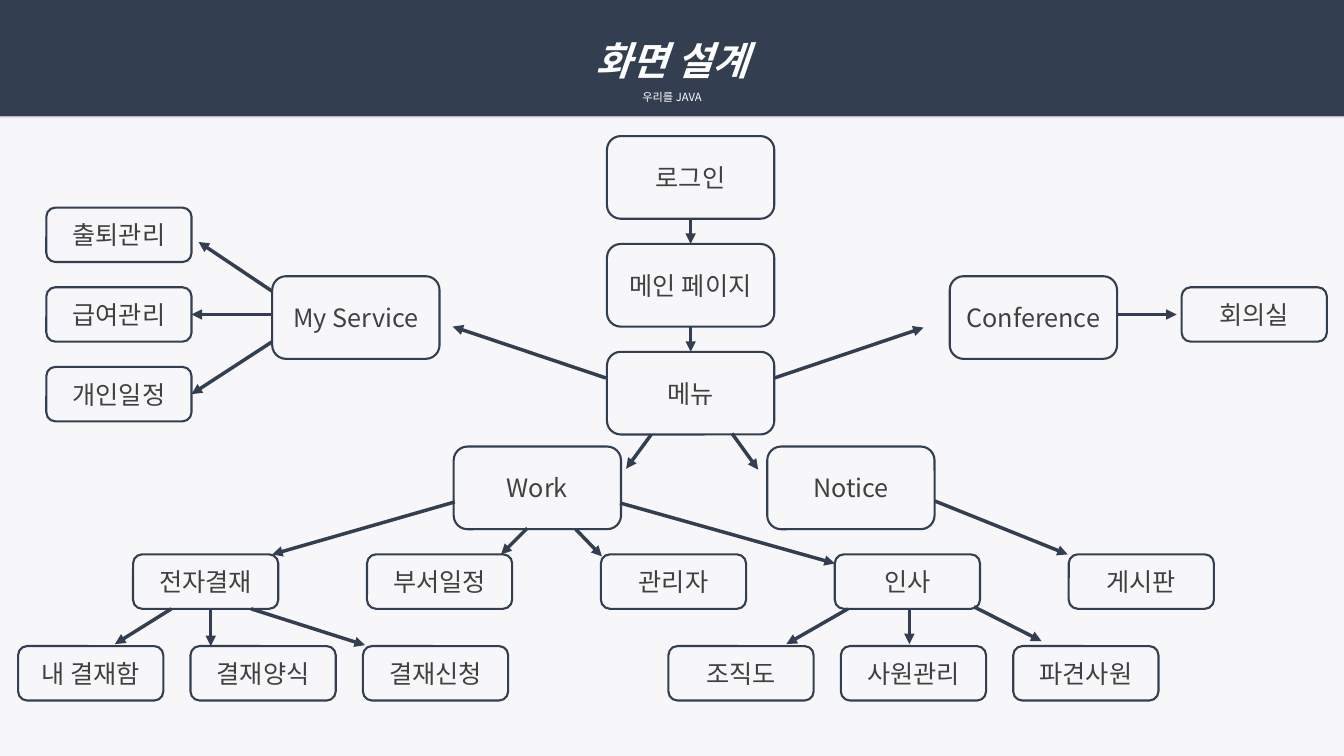
from dataclasses import dataclass
from typing import NamedTuple

from lxml.etree import SubElement
from pptx import Presentation
from pptx.dml.color import RGBColor
from pptx.enum.shapes import MSO_CONNECTOR as Connector, MSO_SHAPE as Preset
from pptx.enum.text import MSO_ANCHOR as Anchor, PP_ALIGN as Align
from pptx.oxml.ns import qn
from pptx.shapes.autoshape import Shape
from pptx.slide import Slide
from pptx.text.text import TextFrame
from pptx.util import Pt

PX = 9144
SLIDE_W, SLIDE_H = 1333, 750
HEADER_H = 115
TOP, LEFT, BOTTOM, RIGHT = range(4)


@dataclass(frozen=True)
class Theme:
    font: str = "Noto Sans CJK KR"
    background: str = "F7F7F9"
    navy: str = "333F50"
    ink: str = "404040"
    white: str = "FFFFFF"
    shade: str = "BBB3CB"
    title_size: int = 28
    subtitle_size: int = 8
    box_size: int = 18
    outline: float = 1.5
    arrow: float = 2.5


class Size(NamedTuple):
    width: int
    height: int


class Box(NamedTuple):
    label: str
    x: int
    y: int
    size: Size


class Point(NamedTuple):
    x: int
    y: int


class Dock(NamedTuple):
    label: str
    side: int


class Arrow(NamedTuple):
    start: Point | Dock
    end: Point | Dock


THEME = Theme()
SCREEN = Size(166, 82)
FEATURE = Size(144, 54)


def row(labels: list[str], x: int, y: int, pitch: int) -> list[Box]:
    return [Box(label, x + i * pitch, y, FEATURE) for i, label in enumerate(labels)]


def column(labels: list[str], x: int, y: int, pitch: int, size: Size) -> list[Box]:
    return [Box(label, x, y + i * pitch, size) for i, label in enumerate(labels)]


BOXES = [
    *column(["로그인", "메인 페이지", "메뉴"], 602, 135, 107, SCREEN),
    Box("My Service", 270, 274, SCREEN),
    Box("Conference", 942, 274, SCREEN),
    Box("Work", 450, 443, SCREEN),
    Box("Notice", 761, 443, SCREEN),
    *column(["출퇴관리", "급여관리", "개인일정"], 46, 206, 79, FEATURE),
    Box("회의실", 1172, 285, FEATURE),
    *row(["전자결재", "부서일정", "관리자", "인사", "게시판"], 132, 550, 232),
    *row(["내 결재함", "결재양식", "결재신청"], 18, 641, 171),
    *row(["조직도", "사원관리", "파견사원"], 663, 641, 171),
]

ARROWS = [
    Arrow(Dock("로그인", BOTTOM), Dock("메인 페이지", TOP)),
    Arrow(Dock("메인 페이지", BOTTOM), Dock("메뉴", TOP)),
    Arrow(Point(646, 431), Point(621, 465)),
    Arrow(Point(726, 430), Point(752, 466)),
    Arrow(Point(601, 375), Point(449, 324)),
    Arrow(Point(768, 375), Point(916, 325)),
    Arrow(Point(270, 289), Point(197, 240)),
    Arrow(Point(270, 312), Dock("급여관리", RIGHT)),
    Arrow(Point(270, 339), Dock("개인일정", RIGHT)),
    Arrow(Point(1108, 312), Point(1167, 312)),
    Arrow(Point(451, 498), Point(270, 550)),
    Arrow(Point(523, 524), Point(497, 550)),
    Arrow(Point(571, 525), Point(597, 552)),
    Arrow(Point(615, 499), Point(828, 559)),
    Arrow(Point(927, 497), Point(1059, 550)),
    Arrow(Point(170, 604), Point(114, 639)),
    Arrow(Point(209, 605), Point(209, 641)),
    Arrow(Point(249, 604), Point(362, 640)),
    Arrow(Point(841, 604), Point(780, 639)),
    Arrow(Point(902, 605), Point(902, 639)),
    Arrow(Point(966, 602), Point(1033, 636)),
]


def color(value: str) -> RGBColor:
    return RGBColor.from_string(value)


def write(frame: TextFrame, text: str, *, size: int, ink: str,
          bold: bool = False, italic: bool = False, spacing: float = 1.0) -> None:
    paragraph = frame.add_paragraph() if frame.text else frame.paragraphs[0]
    paragraph.alignment = Align.CENTER
    paragraph.line_spacing = spacing
    run = paragraph.add_run()
    run.text = text
    font = run.font
    font.size, font.bold, font.italic = Pt(size), bold, italic
    font.color.rgb = color(ink)
    font.name = THEME.font
    SubElement(run._r.get_or_add_rPr(), qn("a:ea"), typeface=THEME.font)


def add_panel(slide: Slide, preset: Preset, x: int, y: int, size: Size, fill: str) -> Shape:
    panel = slide.shapes.add_shape(preset, x * PX, y * PX, size.width * PX, size.height * PX)
    panel.shadow.inherit = False
    panel.fill.solid()
    panel.fill.fore_color.rgb = color(fill)
    panel.text_frame.word_wrap = True
    panel.text_frame.vertical_anchor = Anchor.MIDDLE
    return panel


def add_header(slide: Slide) -> None:
    header = add_panel(slide, Preset.RECTANGLE, 0, 0, Size(SLIDE_W, HEADER_H), THEME.navy)
    header.line.fill.background()
    effects = header._element.spPr.find(qn("a:effectLst"))
    shadow = SubElement(effects, qn("a:outerShdw"), blurRad="0", dist=str(Pt(1)),
                        dir="5400000", algn="t", rotWithShape="0")
    SubElement(shadow, qn("a:srgbClr"), val=THEME.shade)
    write(header.text_frame, "화면 설계", size=THEME.title_size, ink=THEME.white,
          bold=True, italic=True, spacing=1.5)
    write(header.text_frame, "우리를 JAVA", size=THEME.subtitle_size, ink=THEME.white,
          spacing=1.5)


def add_box(slide: Slide, box: Box) -> Shape:
    panel = add_panel(slide, Preset.ROUNDED_RECTANGLE, box.x, box.y, box.size, THEME.background)
    panel.line.color.rgb = color(THEME.navy)
    panel.line.width = Pt(THEME.outline)
    write(panel.text_frame, box.label, size=THEME.box_size, ink=THEME.ink)
    return panel


def add_arrow(slide: Slide, arrow: Arrow, panels: dict[str, Shape]) -> None:
    link = slide.shapes.add_connector(Connector.STRAIGHT, 0, 0, 0, 0)
    if isinstance(arrow.start, Dock):
        link.begin_connect(panels[arrow.start.label], arrow.start.side)
    else:
        link.begin_x, link.begin_y = arrow.start.x * PX, arrow.start.y * PX
    if isinstance(arrow.end, Dock):
        link.end_connect(panels[arrow.end.label], arrow.end.side)
    else:
        link.end_x, link.end_y = arrow.end.x * PX, arrow.end.y * PX
    link.line.color.rgb = color(THEME.navy)
    link.line.width = Pt(THEME.arrow)
    SubElement(link.line._get_or_add_ln(), qn("a:tailEnd"), type="triangle")
    SubElement(link._element.spPr, qn("a:effectLst"))


def main() -> None:
    deck = Presentation()
    deck.slide_width, deck.slide_height = SLIDE_W * PX, SLIDE_H * PX
    slide = deck.slides.add_slide(deck.slide_layouts[6])
    slide.background.fill.solid()
    slide.background.fill.fore_color.rgb = color(THEME.background)
    add_header(slide)
    panels = {box.label: add_box(slide, box) for box in BOXES}
    for arrow in ARROWS:
        add_arrow(slide, arrow, panels)
    deck.save("out.pptx")


if __name__ == "__main__":
    main()
